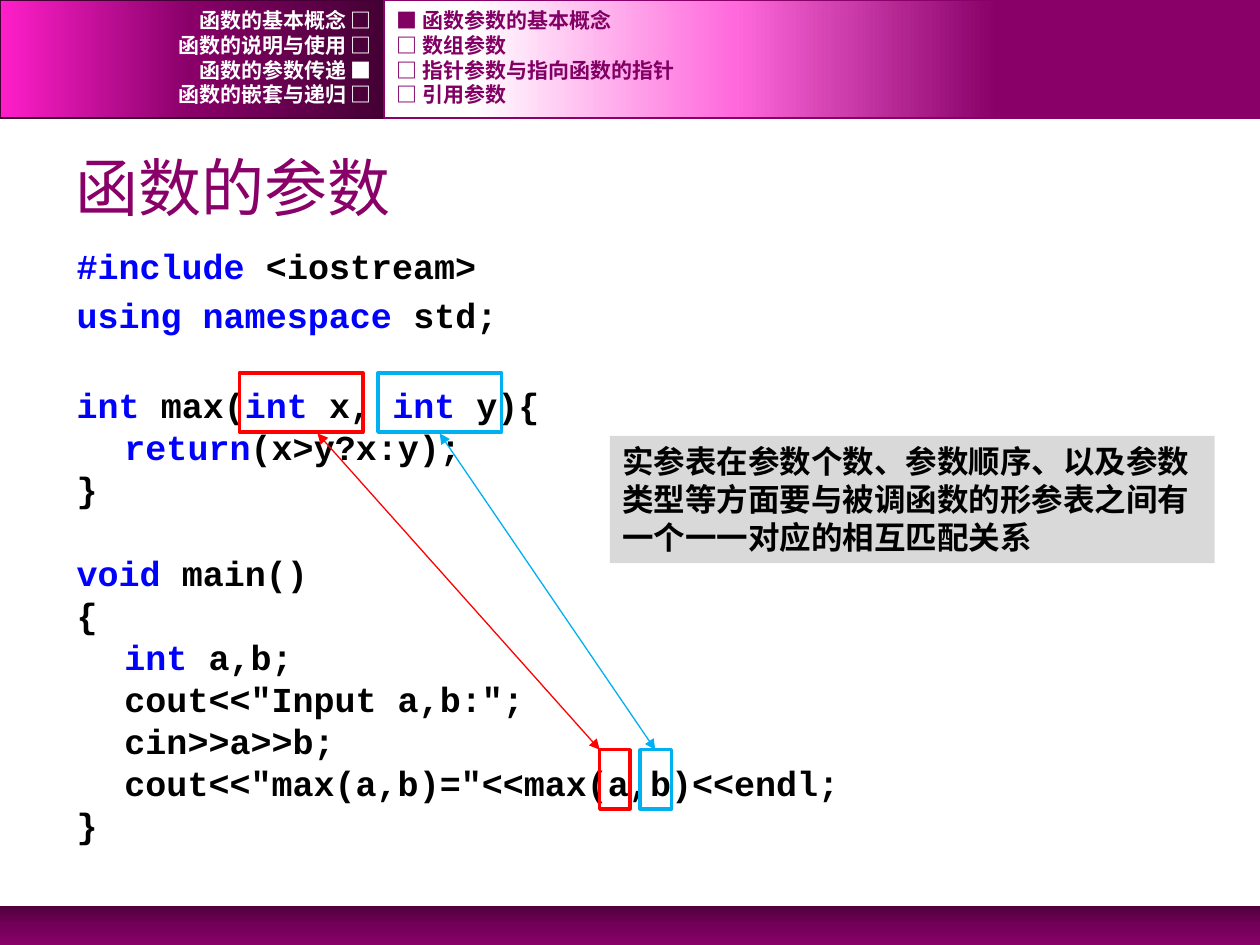
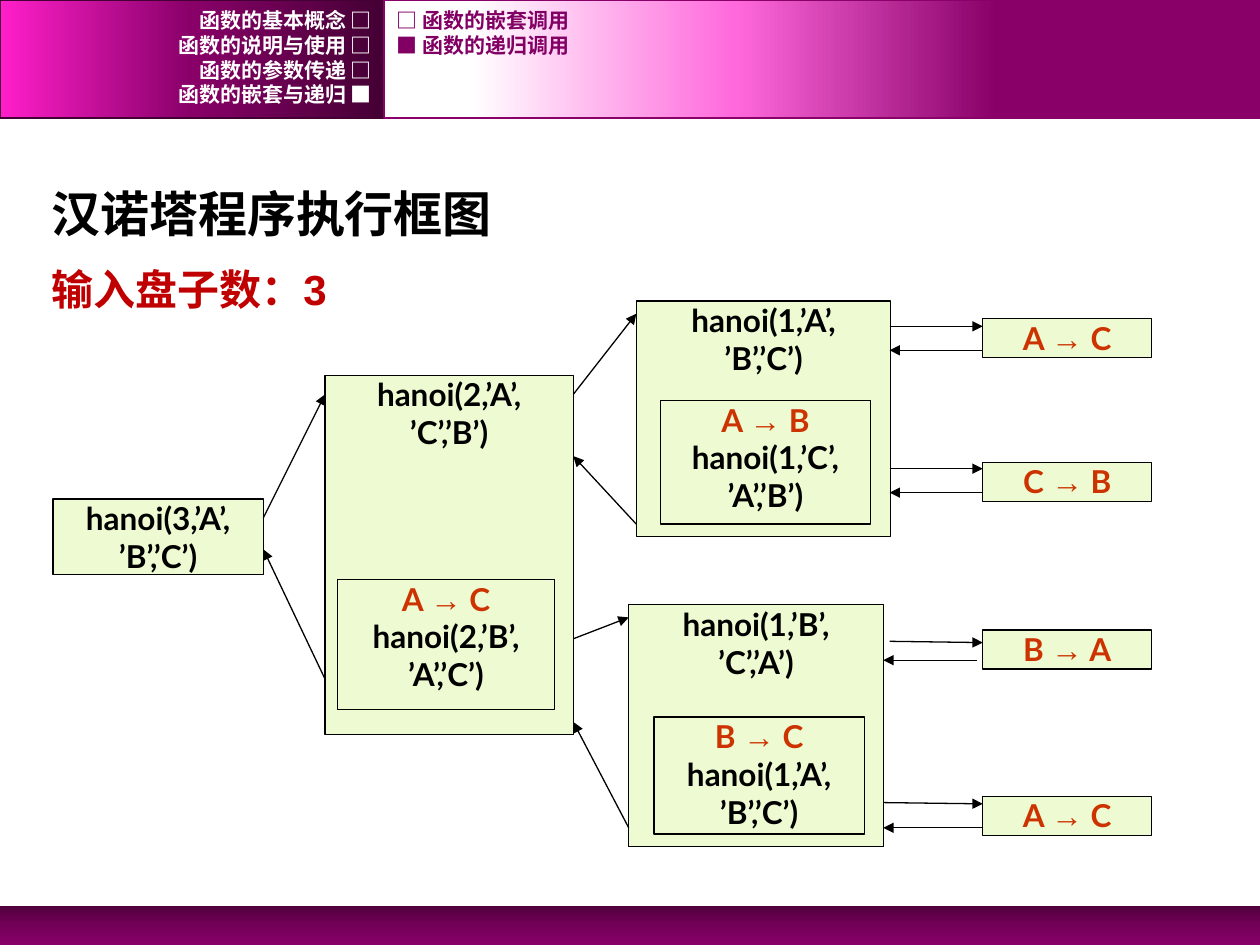
"""Builds two slides of a course on functions: argument matching and the Hanoi call diagram."""
from lxml.etree import SubElement
from pptx import Presentation
from pptx.dml.color import RGBColor as RGB
from pptx.enum.shapes import MSO_CONNECTOR as CONN, MSO_SHAPE as SHAPE
from pptx.enum.text import MSO_ANCHOR as ANCHOR, PP_ALIGN as ALIGN
from pptx.oxml.ns import qn
from pptx.util import Inches, Pt

COLORS = {
    "white": "FFFFFF", "black": "000000", "plum": "880068", "nav": "820064",
    "dark": "440034", "deep": "51003E", "mid": "730058", "pink": "FF69DC",
    "magenta": "FF1FCA", "keyword": "0000FF", "red": "FF0000", "sky": "00B0F0",
    "grey": "D9D9D9", "lime": "EDFAD2", "move": "CC3300", "input": "C00000",
}
COLS, ROWS = 100, 75
CHAPTERS = ["函数的基本概念", "函数的说明与使用", "函数的参数传递", "函数的嵌套与递归"]


class Deck:
    """Holds the style, the grid and the current slide."""

    def __init__(self):
        self.prs = Presentation()
        self.prs.slide_width, self.prs.slide_height = Inches(10), Inches(7.5)
        self.s = None

    def grid(self, *cells):
        units = (self.prs.slide_width / COLS, self.prs.slide_height / ROWS)
        return [round(c * units[i % 2]) for i, c in enumerate(cells)]

    def color(self, name):
        return RGB.from_string(COLORS[name])

    def slide(self, chapter, sections, section):
        self.s = self.prs.slides.add_slide(self.prs.slide_layouts[6])
        self.band((0, 71.9, 100, 3.1), 270, [(0, "deep"), (50, "mid"), (100, "plum")])
        self.band((0, 0, 30.5, 9.4), 180,
                  [(0, "dark"), (50, "plum"), (100, "magenta")], "dark")
        self.band((30.5, 0, 69.5, 9.4), 180,
                  [(30, "plum"), (60, "pink"), (90, "white")], "plum")
        for i, name in enumerate(CHAPTERS):
            mark = "■" if i == chapter else "□"
            self.nav(i, 0, 30.5, f"{name} {mark}", "white", ALIGN.RIGHT)
        for i, name in enumerate(sections):
            mark = "■" if i == section else "□"
            self.nav(i, 30.5, 60.2, f"{mark} {name}", "nav", ALIGN.LEFT)

    def nav(self, row, left, width, words, color, align):
        self.text((left, 0.6 + 1.97 * row, width, 2), [[(words, color)]],
                  size=12, name="Courier New", align=align, anchor=ANCHOR.MIDDLE)

    def box(self, at, fill=None, line=None, width=0.75):
        sp = self.s.shapes.add_shape(SHAPE.RECTANGLE, *self.grid(*at))
        sp.shadow.inherit = False
        if fill:
            sp.fill.solid()
            sp.fill.fore_color.rgb = self.color(fill)
        else:
            sp.fill.background()
        if line:
            sp.line.color.rgb = self.color(line)
            sp.line.width = Pt(width)
        else:
            sp.line.fill.background()
        return sp

    def band(self, at, angle, stops, line=None):
        sp = self.box(at, line=line, width=1)
        sp.fill.gradient()
        sp.fill.gradient_angle = angle
        gs_list = sp.element.spPr.find(qn("a:gradFill")).find(qn("a:gsLst"))
        for gs in list(gs_list):
            gs_list.remove(gs)
        for pos, name in stops:
            gs = SubElement(gs_list, qn("a:gs"), pos=str(pos * 1000))
            SubElement(gs, qn("a:srgbClr"), val=COLORS[name])

    def text(self, at, paragraphs, **style):
        sp = self.s.shapes.add_textbox(*self.grid(*at))
        return self.put_text(sp, paragraphs, **style)

    def put_text(self, sp, paragraphs, size=18, name="Arial", bold=True,
                 align=ALIGN.LEFT, anchor=ANCHOR.TOP, inset=None):
        tf = sp.text_frame
        tf.word_wrap = True
        tf.vertical_anchor = anchor
        if inset is not None:
            for side in ("left", "top", "right", "bottom"):
                setattr(tf, f"margin_{side}", Pt(inset))
        for i, runs in enumerate(paragraphs):
            p = tf.add_paragraph() if i else tf.paragraphs[0]
            p.alignment = align
            for words, color, *own in runs:
                r = p.add_run()
                r.text = words
                fmt = {"size": Pt(size), "name": name, "bold": bold}
                for key, value in {**fmt, **(own[0] if own else {})}.items():
                    setattr(r.font, key, value)
                r.font.color.rgb = self.color(color)
        return tf

    def code(self, at, lines, gaps):
        paragraphs = [[(part, "black" if i % 2 else "keyword")
                       for i, part in enumerate(line.split("|")) if part] for line in lines]
        tf = self.text(at, paragraphs, size=20, name="Courier New")
        for i, p in enumerate(tf.paragraphs):
            p.line_spacing = Pt(24)
            p.space_before = Pt(gaps.get(i, 0))
            pPr = p._p.get_or_add_pPr()
            pPr.set("marL", str(Inches(0.38)))
            pPr.set("indent", str(-Inches(0.38)))

    def call(self, at, *lines):
        paragraphs = []
        for line in lines:
            left, arrow, right = line.partition("→")
            color = "move" if arrow else "black"
            runs = [(left, color), (arrow, color, {"name": "Arial"}), (right, color)]
            paragraphs.append([run for run in runs if run[0]])
        self.put_text(self.box(at, "lime", "black"), paragraphs,
                      name="Lato", align=ALIGN.CENTER, inset=0)

    def arrow(self, ends, color="black", both=False):
        c = self.s.shapes.add_connector(CONN.STRAIGHT, *self.grid(*ends))
        c.line.color.rgb = self.color(color)
        c.line.width = Pt(0.75)
        spPr = c._element.spPr
        for tag in ("a:headEnd", "a:tailEnd") if both else ("a:tailEnd",):
            SubElement(spPr.find(qn("a:ln")), qn(tag), type="triangle")
        SubElement(spPr, qn("a:effectLst"))


def arguments_slide(d):
    d.slide(2, ["函数参数的基本概念", "数组参数", "指针参数与指向函数的指针", "引用参数"], 0)
    d.text((5, 10.9, 90, 7.8), [[("函数的参数", "plum")]],
           size=36, bold=False, anchor=ANCHOR.MIDDLE)
    d.code((5.1, 18.9, 90, 48.8), [
        "#include |<iostream>",
        "using namespace |std;",
        "int |max(|int |x, |int |y){",
        "\treturn|(x>y?x:y);",
        "|}",
        "void |main()",
        "|{",
        "\tint |a,b;",
        '|\tcout<<"Input a,b:";',
        "|\tcin>>a>>b;",
        '|\tcout<<"max(a,b)="<<max(a,b)<<endl;',
        "|}",
    ], {1: 4, 2: 27.5, 5: 24})
    matches = [
        ("red", (19, 9.8), (47.6, 2.4), (47.6, 59.5, 25.2, 34.4)),
        ("sky", (30, 9.8), (50.8, 2.5), (34.9, 34.4, 52, 59.5)),
    ]
    for color, formal, actual, ends in matches:
        for (left, width), top in ((formal, 29.6), (actual, 59.5)):
            d.box((left, top, width, 4.7), line=color, width=2)
        d.arrow(ends, color, both=True)
    d.put_text(d.box((48.4, 34.6, 48, 10.1), "grey"), [[(
        "实参表在参数个数、参数顺序、以及参数类型等方面要与被调函数的形参表之间有一个一一对应的相互匹配关系",
        "black")]])


def hanoi_slide(d):
    d.slide(3, ["函数的嵌套调用", "函数的递归调用"], 1)
    tf = d.text((3.1, 14.1, 37.4, 11.8), [
        [("汉诺塔程序执行框图", "black", {"size": Pt(28)})],
        [("输入盘子数：3", "input")],
    ], size=24)
    tf.paragraphs[1].space_before = Pt(12)
    calls = [
        ((4.2, 39.6, 16.7, 6), "hanoi(3,’A’,", "’B’,’C’)"),
        ((25.8, 29.8, 19.7, 28.5), "hanoi(2,’A’,", "’C’,’B’)"),
        ((26.8, 46, 17.2, 10.3), "A → C", "hanoi(2,’B’,", "’A’,’C’)"),
        ((50.5, 23.9, 20.2, 18.7), "hanoi(1,’A’,", "’B’,’C’)"),
        ((52.4, 31.8, 16.7, 9.8), "A → B", "hanoi(1,’C’,", "’A’,’B’)"),
        ((49.9, 48, 20.2, 19.2), "hanoi(1,’B’,", "’C’,’A’)"),
        ((51.9, 56.9, 16.7, 9.3), "B → C", "hanoi(1,’A’,", "’B’,’C’)"),
    ]
    for at, *lines in calls:
        d.call(at, *lines)
    for top, move in ((25.3, "A → C"), (36.7, "C → B"), (50, "B → A"), (63.2, "A → C")):
        d.call((78, top, 13.4, 3.1), move)
    arrows = [
        (20.9, 41.1, 25.8, 31.3), (25.8, 53.9, 20.9, 43.6),
        (45.5, 31.3, 50.5, 24.9), (50.5, 41.6, 45.5, 36.2),
        (45.5, 50.7, 49.9, 49), (49.9, 65.7, 45.5, 57.3),
        (70.6, 25.9, 78, 25.9), (78, 27.8, 70.6, 27.8),
        (70.6, 37.2, 78, 37.2), (78, 39.1, 70.6, 39.1),
        (70.6, 50.9, 78, 51), (77.5, 52.4, 70.1, 52.4),
        (70.1, 63.7, 78, 63.8), (78, 65.7, 70.1, 65.7),
    ]
    for ends in arrows:
        d.arrow(ends)


def main():
    d = Deck()
    arguments_slide(d)
    hanoi_slide(d)
    d.prs.save("out.pptx")


if __name__ == "__main__":
    main()
